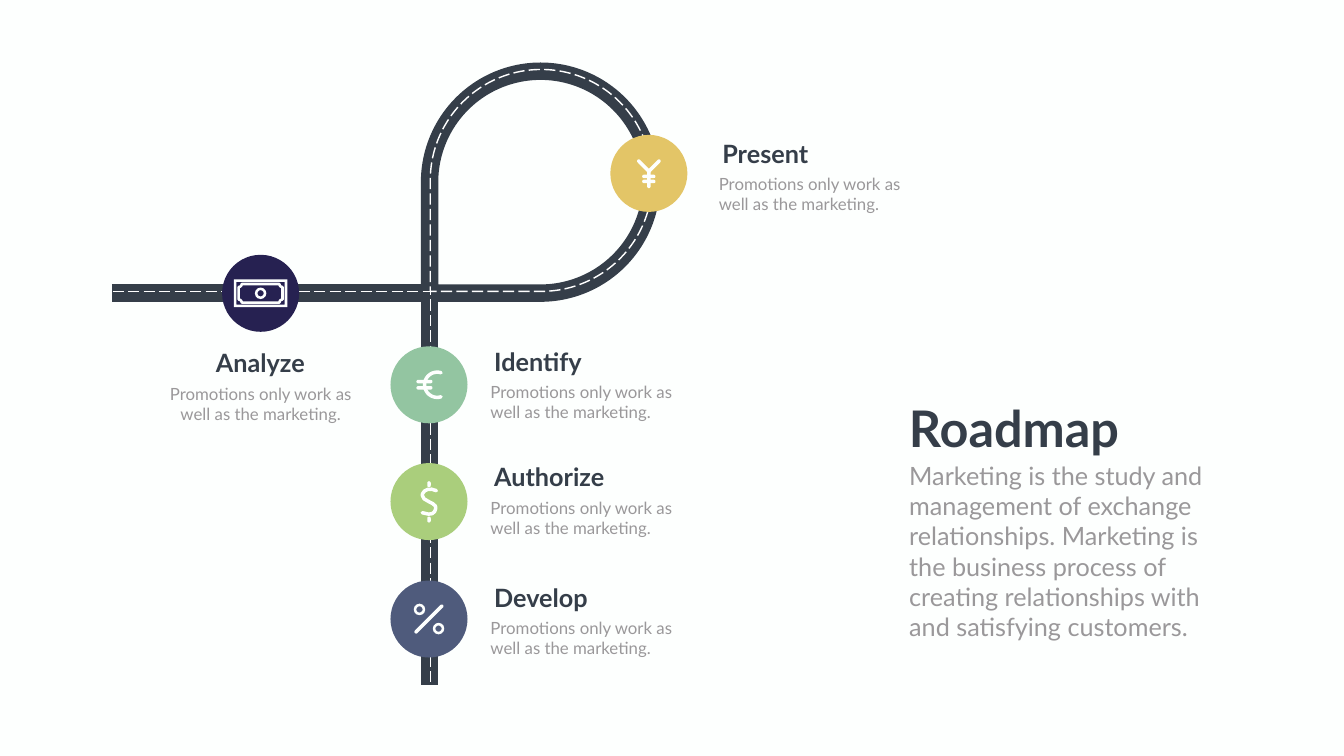
from dataclasses import dataclass
from math import atan2, cos, degrees, hypot, radians, sin

from pptx import Presentation
from pptx.dml.color import RGBColor
from pptx.enum.dml import MSO_LINE
from pptx.enum.shapes import MSO_SHAPE
from pptx.enum.text import MSO_AUTO_SIZE, PP_ALIGN
from pptx.util import Pt

PAPER = RGBColor(0xFD, 0xFF, 0xFE)
WHITE = RGBColor(0xFF, 0xFF, 0xFF)
DARK = RGBColor(0x35, 0x3E, 0x49)
GRAY = RGBColor(0x9A, 0x98, 0x9A)
NAVY = RGBColor(0x26, 0x21, 0x51)
GOLD = RGBColor(0xE3, 0xC5, 0x67)
MINT = RGBColor(0x93, 0xC5, 0xA1)
LIME = RGBColor(0xAA, 0xCE, 0x7C)
SLATE = RGBColor(0x4F, 0x5B, 0x7C)
FONT = "Lato"
DIAMETER = 110
LOOP_SIZE = 317
GLYPH_WIDTH = 5
RING_WIDTH = 3.7
BLURB = "Promotions only work as well as the marketing."
SUMMARY = ("Marketing is the study and management of exchange relationships. "
           "Marketing is the business process of creating relationships with "
           "and satisfying customers.")

Point = tuple[float, float]


@dataclass(frozen=True)
class Outline:
    kind: MSO_SHAPE
    x: float
    y: float
    width: float
    height: float


@dataclass(frozen=True)
class Stop:
    name: str
    center: Point
    color: RGBColor
    title_at: Point
    blurb_at: Point
    strokes: tuple[tuple[Point, ...], ...] = ()
    outlines: tuple[Outline, ...] = ()
    align: PP_ALIGN = PP_ALIGN.LEFT


def ring(x: float, y: float) -> Outline:
    return Outline(MSO_SHAPE.DONUT, x, y, 16.4, 16.4)


def bar(left: float, right: float, y: float) -> tuple[Point, ...]:
    return (left, y), (right, y)


YEN = (((-14.4, -17.6), (0, -3)), ((14.4, -17.6), (0, -3)), ((0, -3), (0, 18.7)),
       bar(-7, 7, 4.3), bar(-7, 7, 11.5))
EURO = (tuple((11.7 + 18 * cos(radians(a)), 18 * sin(radians(a)))
              for a in range(72, 289, 6)),
        bar(-15.5, 2.5, -4.6), bar(-15.5, 2.5, 4.4))
DOLLAR = (((10.5, -15.5), (4, -17.6), (-2, -17.3), (-6.5, -15), (-9.3, -11),
           (-9.3, -8), (-7, -3.8), (-0.5, 0), (5.3, 3), (9.2, 6.5), (9.6, 10),
           (8, 14.4), (4.5, 17.3), (-0.5, 18), (-9.7, 16)),
          ((0, -26.5), (0, -23)), ((0, 24), (0, 27.5)))
PERCENT = (((-18.3, 18.3), (18.3, -18.3)),)
BANKNOTE = (Outline(MSO_SHAPE.FRAME, 0, 0, 76.3, 39.7),
            Outline(MSO_SHAPE.PLAQUE, 0, 0, 62.6, 26.6), ring(0, 0))

STOPS = (
    Stop("Analyze", (372.2, 419), NAVY, (277.9, 493.2), (227.5, 544.3),
         outlines=BANKNOTE, align=PP_ALIGN.CENTER),
    Stop("Present", (926.7, 247.7), GOLD, (1024.6, 193.7), (1019.5, 244.8), YEN),
    Stop("Identify", (612.7, 549.7), MINT, (698.7, 491), (693.4, 542.2), EURO),
    Stop("Authorize", (612.7, 716.5), LIME, (698.7, 655.9), (693.4, 707), DOLLAR),
    Stop("Develop", (612.7, 884.3), SLATE, (698.7, 828.7), (693.4, 879.1), PERCENT,
         (ring(-13.6, -13.7), ring(13.6, 13.7))),
)

prs = Presentation()
prs.slide_width, prs.slide_height = Pt(1919.52), Pt(1080)
slide = prs.slides.add_slide(prs.slide_layouts[6])
slide.background.fill.solid()
slide.background.fill.fore_color.rgb = PAPER
shapes = slide.shapes


def set_line(shape, color: RGBColor, width: float, dashed: bool = False) -> None:
    shape.fill.background()
    shape.line.color.rgb = color
    shape.line.width = Pt(width)
    if dashed:
        shape.line.dash_style = MSO_LINE.LONG_DASH


def set_fill(shape, color: RGBColor) -> None:
    shape.fill.solid()
    shape.fill.fore_color.rgb = color
    shape.line.fill.background()


def add_preset(kind: MSO_SHAPE, center: Point, width: float, height: float):
    shape = shapes.add_shape(kind, Pt(center[0] - width / 2), Pt(center[1] - height / 2),
                             Pt(width), Pt(height))
    shape.shadow.inherit = False
    return shape


def add_path(points: list[Point]):
    corners = [(Pt(x), Pt(y)) for x, y in points]
    builder = shapes.build_freeform(*corners[0])
    builder.add_line_segments(corners[1:], close=False)
    path = builder.convert_to_shape()
    path.shadow.inherit = False
    return path


def add_road(x: float, y: float, color: RGBColor, width: float, dashed: bool) -> None:
    loop = add_preset(MSO_SHAPE.TEAR, (x + LOOP_SIZE / 2, y - LOOP_SIZE / 2),
                      LOOP_SIZE, LOOP_SIZE)
    loop.rotation = 180
    set_line(loop, color, width, dashed)
    bend = add_path([(x - 453.6, y), (x, y), (x, y + 559.4)])
    set_line(bend, color, width, dashed)


def add_stroke(points: list[Point]) -> None:
    if len(points) > 2:
        curve = add_path(points)
        set_line(curve, PAPER, GLYPH_WIDTH)
        curve.line._get_or_add_ln().set("cap", "rnd")
        return
    (x1, y1), (x2, y2) = points
    pill = add_preset(MSO_SHAPE.ROUNDED_RECTANGLE, ((x1 + x2) / 2, (y1 + y2) / 2),
                      hypot(x2 - x1, y2 - y1) + GLYPH_WIDTH, GLYPH_WIDTH)
    pill.adjustments[0] = 0.5
    pill.rotation = degrees(atan2(y2 - y1, x2 - x1))
    set_fill(pill, PAPER)


def add_outline(item: Outline, center: Point) -> None:
    shape = add_preset(item.kind, (center[0] + item.x, center[1] + item.y),
                       item.width, item.height)
    if item.kind == MSO_SHAPE.PLAQUE:
        set_line(shape, PAPER, RING_WIDTH)
    else:
        shape.adjustments[0] = RING_WIDTH / item.height
        set_fill(shape, PAPER)


def add_text(text: str, at: Point, width: float, height: float, size: float,
             color: RGBColor, bold: bool = False, align: PP_ALIGN = PP_ALIGN.LEFT,
             wrap: bool = True) -> None:
    box = shapes.add_textbox(Pt(at[0]), Pt(at[1]), Pt(width), Pt(height))
    frame = box.text_frame
    frame.word_wrap = wrap
    frame.auto_size = MSO_AUTO_SIZE.SHAPE_TO_FIT_TEXT
    paragraph = frame.paragraphs[0]
    paragraph.alignment = align
    run = paragraph.add_run()
    run.text = text
    run.font.name, run.font.size, run.font.bold = FONT, Pt(size), bold
    run.font.color.rgb = color


def add_stop(stop: Stop) -> None:
    cx, cy = stop.center
    set_fill(add_preset(MSO_SHAPE.OVAL, stop.center, DIAMETER, DIAMETER), stop.color)
    for stroke in stop.strokes:
        add_stroke([(cx + x, cy + y) for x, y in stroke])
    for item in stop.outlines:
        add_outline(item, stop.center)
    add_text(stop.name, stop.title_at, 187.9, 51.1, 36, DARK, True, stop.align)
    add_text(BLURB, stop.blurb_at, 289.4, 65.5, 24, GRAY, align=stop.align)


add_road(613.5, 418.7, DARK, 24.86, False)
add_road(614.5, 416.2, WHITE, 2, True)
for stop in STOPS:
    add_stop(stop)
add_text("Roadmap", (1291, 563.8), 322.6, 94.3, 72, DARK, True, wrap=False)
add_text(SUMMARY, (1291.5, 653.8), 470.9, 269.3, 36, GRAY)

prs.save("out.pptx")
